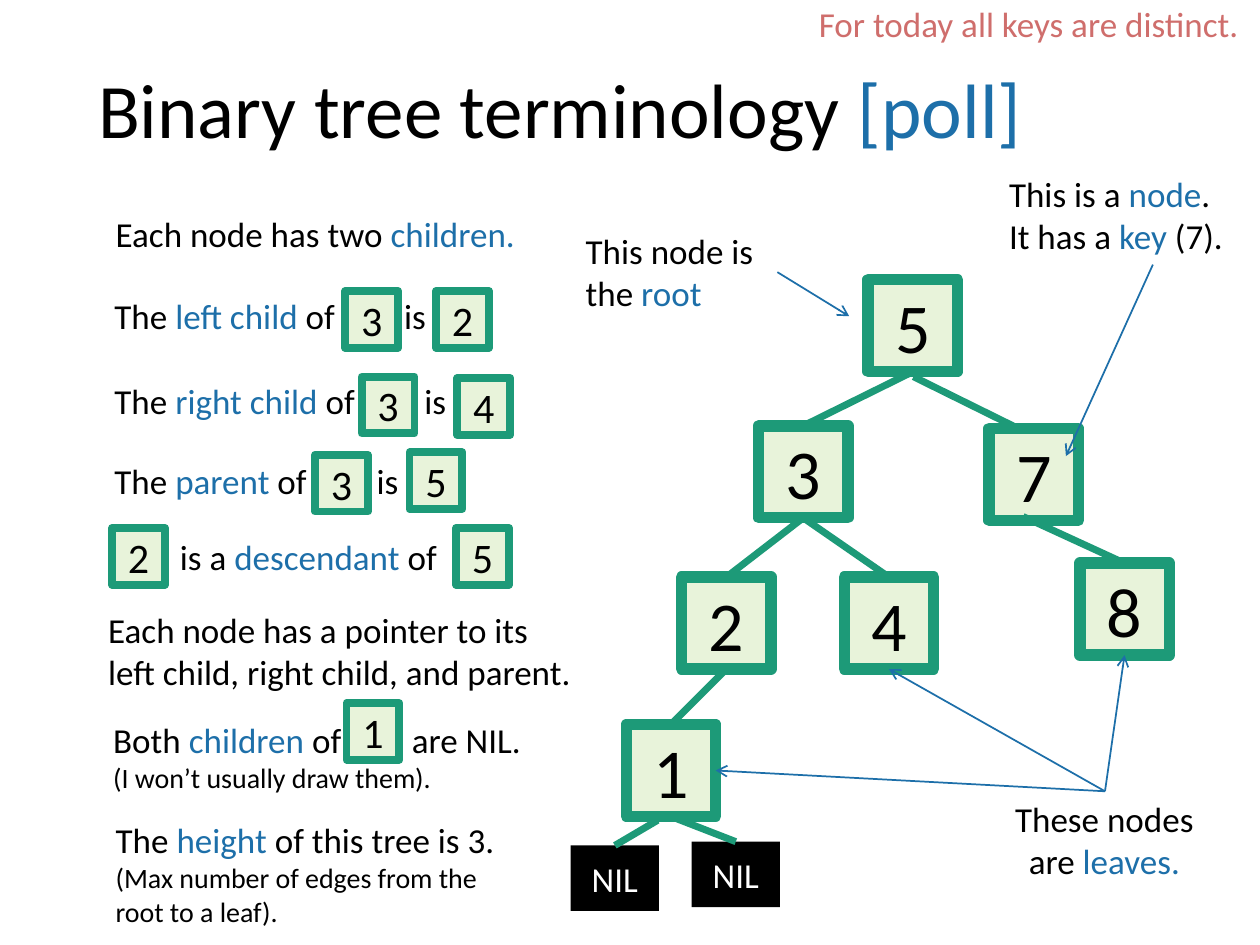
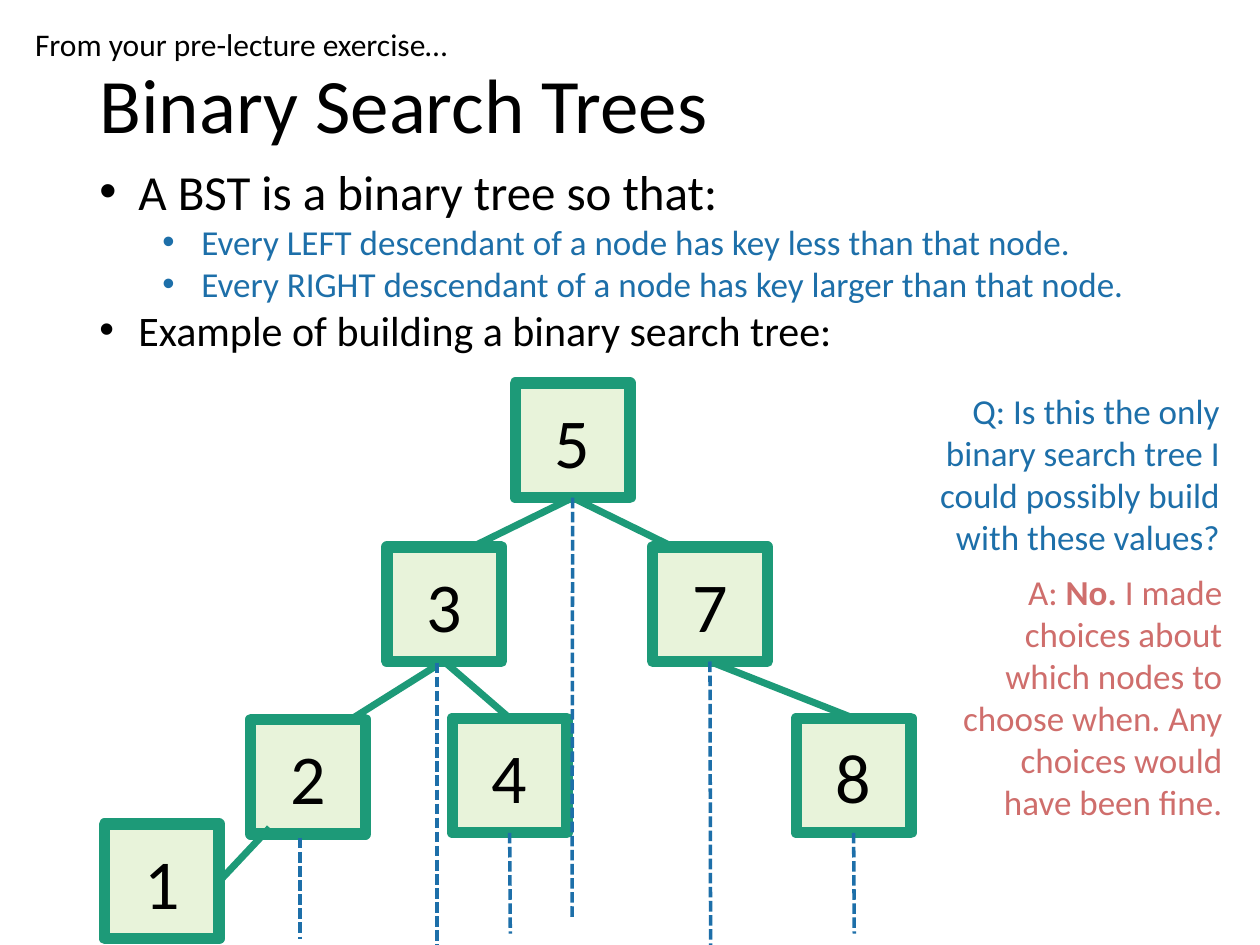
"""Build two slides on binary tree terminology and binary search trees."""
from dataclasses import dataclass

from lxml.etree import SubElement
from pptx import Presentation
from pptx.dml.color import RGBColor as RGB
from pptx.enum.dml import MSO_LINE_DASH_STYLE as Dash
from pptx.enum.shapes import MSO_CONNECTOR as Connector, MSO_SHAPE as Shape
from pptx.enum.text import MSO_ANCHOR as Anchor, PP_ALIGN as Align
from pptx.oxml.ns import qn
from pptx.util import Inches, Pt


@dataclass(frozen=True)
class Theme:
    font: str = "Calibri"
    ink: str = "000000"
    paper: str = "FFFFFF"
    blue: str = "1D6FA9"
    red: str = "CF6E6C"
    green: str = "1D9A78"
    pale: str = "E8F3DA"
    title: int = 44
    key: int = 40
    lead: int = 28
    small_key: int = 24
    body: int = 20
    aside: int = 18
    note: int = 16


T = Theme()
TOP, LEFT, BOTTOM, RIGHT = range(4)

TERMS_TITLE = ((0.68, 0.46, 8.62, 0.89), "Binary tree terminology *[poll]*")
TERMS_NODES = {"4": (6.7, 4.58), "2": (5.41, 4.58), "8": (8.57, 4.47), "7": (7.85, 3.4),
               "1": (4.97, 5.75), "3": (6.02, 3.38), "5": (6.89, 2.22)}
NIL_BOXES = {"right NIL": (5.49, 6.68), "left NIL": (4.53, 6.71)}
TERMS_EDGES = [
    ((7.25, 2.99), (8.04, 3.38)),
    ((8.12, 4.1), ("8", TOP)),
    (("3", BOTTOM), ("4", TOP)),
    (("5", BOTTOM), ("3", TOP)),
    (("3", BOTTOM), ("2", TOP)),
    (("2", BOTTOM), ("1", TOP)),
    ((5.22, 6.51), ("left NIL", TOP)),
    (("1", BOTTOM), ("right NIL", TOP)),
]
LEAF_LABEL_TOP = (8.77, 6.28)
TERMS_ARROWS = [
    ((9.15, 2.1), (8.46, 3.62)),
    ((6.17, 2.16), (6.74, 2.51)),
    (LEAF_LABEL_TOP, ("1", RIGHT)),
    (LEAF_LABEL_TOP, ("4", BOTTOM)),
    (LEAF_LABEL_TOP, ("8", BOTTOM)),
]
TERMS_TEXTS = [
    ((4.55, 1.77, 1.63, 0.77), ["This node is the *root*"]),
    ((7.91, 1.32, 2.48, 0.77), ["This is a *node*.", "It has a *key* (7)."]),
    ((0.82, 1.64, 3.7, 0.44), ["Each node has two *children.*"]),
    ((0.81, 2.29, 1.95, 0.44), ["The *left child* of"]),
    ((3.11, 2.29, 0.4, 0.44), ["is"]),
    ((0.81, 2.96, 2.15, 0.44), ["The *right child* of"]),
    ((3.27, 2.96, 0.4, 0.44), ["is"]),
    ((0.81, 3.6, 1.8, 0.44), ["The *parent* of"]),
    ((2.89, 3.6, 0.4, 0.44), ["is"]),
    ((1.33, 4.2, 2.3, 0.44), ["is a *descendant* of"]),
    ((0.76, 4.78, 3.89, 0.77), ["Each node has a pointer to its left child, right child, and parent."]),
    ((0.8, 5.65, 3.2, 0.71), ["Both *children* of", ("(I won’t usually draw them).", T.note)]),
    ((3.17, 5.65, 1.3, 0.44), ["are NIL."]),
    ((0.82, 6.45, 3.36, 0.98), ["The *height* of this tree is 3.",
                                ("(Max number of edges from the root to a leaf).", T.note)]),
]
LEAVES_TEXT = ((7.88, 6.28, 1.77, 0.77), ["These nodes are *leaves.*"])
DISTINCT_TEXT = ((6.4, -0.03, 3.75, 0.44), ["For today all keys are distinct."])
INLINE_KEYS = [("3", 2.74, 2.31), ("2", 3.46, 2.31), ("3", 2.87, 2.99), ("4", 3.63, 3.0),
               ("3", 2.5, 3.61), ("5", 3.25, 3.59), ("2", 0.89, 4.19), ("5", 3.62, 4.19),
               ("1", 2.75, 5.58)]

BST_TITLE = ((0.69, 0.4, 8.62, 0.92), "Binary Search Trees")
BST_NODES = {"4": (3.59, 5.7), "2": (1.99, 5.71), "8": (6.32, 5.7), "7": (5.18, 4.34),
             "1": (0.83, 6.54), "3": (3.07, 4.34), "5": (4.09, 3.04)}
BST_EDGES = [
    (("5", BOTTOM), (5.34, 4.34)),
    (("5", BOTTOM), (3.75, 4.34)),
    ((3.47, 5.28), (2.8, 5.7)),
    (("3", BOTTOM), ("4", TOP)),
    (("7", BOTTOM), ("8", TOP)),
    ((2.14, 6.57), ("1", RIGHT)),
]
BST_DROPS = [
    (("5", BOTTOM), (4.54, 7.28)),
    ((3.47, 5.26), (3.47, 7.5)),
    (("7", BOTTOM), (5.64, 7.5)),
    (("4", BOTTOM), (4.05, 7.41)),
    (("8", BOTTOM), (6.78, 7.41)),
    ((2.38, 6.65), (2.38, 7.45)),
]
BST_BULLETS_BOX = (0.69, 1.23, 9.31, 1.65)
BST_BULLETS = [
    ("A BST is a binary tree so that:", 0, T.lead, T.ink),
    ("Every LEFT descendant of a node has key less than that node.", 1, T.body, T.blue),
    ("Every RIGHT descendant of a node has key larger than that node.", 1, T.body, T.blue),
    ("Example of building a binary search tree:", 0, T.small_key, T.ink),
]
QUESTION = ((6.94, 3.04, 2.84, 1.45),
            ["Q: Is this the only binary search tree I could possibly build with these values?"])
ANSWER = ((7.46, 4.48, 2.34, 2.12),
          ["A: *No.* I made choices about which nodes to choose when. Any choices would have been fine."])
SOURCE_TEXT = ((0.18, 0.15, 4.67, 0.4), ["From your pre-lecture exercise…"])


def style(r, size, color, bold=False):
    r.font.name, r.font.size, r.font.bold = T.font, Pt(size), bold
    r.font.color.rgb = RGB.from_string(color)


def write(p, marked, size, color, accent=T.blue, bold=False):
    for i, part in enumerate(marked.split("*")):
        if part:
            r = p.add_run()
            r.text = part
            style(r, size, accent if i % 2 else color, bold and i % 2 == 1)


def add_text(s, box, paras, size=T.body, color=T.ink, align=Align.LEFT, accent=T.blue, bold=False):
    tf = s.shapes.add_textbox(*map(Inches, box)).text_frame
    tf.word_wrap = True
    for i, para in enumerate(paras):
        marked, para_size = para if isinstance(para, tuple) else (para, size)
        p = tf.add_paragraph() if i else tf.paragraphs[0]
        p.alignment = align
        write(p, marked, para_size, color, accent, bold)
    return tf


def add_title(s, box, marked):
    tf = add_text(s, box, [marked], T.title)
    tf.vertical_anchor = Anchor.MIDDLE
    tf.paragraphs[0].line_spacing = 0.9


def add_box(s, label, box, size, fill=T.pale, color=T.ink, border=None):
    sp = s.shapes.add_shape(Shape.RECTANGLE, *map(Inches, box))
    sp.shadow.inherit = False
    sp.fill.solid()
    sp.fill.fore_color.rgb = RGB.from_string(fill)
    if border:
        sp.line.color.rgb = RGB.from_string(T.green)
        sp.line.width = Pt(border)
    else:
        sp.line.fill.background()
    tf = sp.text_frame
    tf.text = label
    tf.vertical_anchor = Anchor.MIDDLE
    p = tf.paragraphs[0]
    p.alignment = Align.CENTER
    style(p.runs[0], size, color)
    return sp


def add_nodes(s, nodes, width, height):
    return {key: add_box(s, key, (*at, width, height), T.key, border=6.5) for key, at in nodes.items()}


def add_links(s, links, boxes, color, width, dash=None, arrow=False):
    for ends in links:
        joined = [isinstance(end[0], str) for end in ends]
        points = [0 if fixed else Inches(v) for end, fixed in zip(ends, joined) for v in end]
        c = s.shapes.add_connector(Connector.STRAIGHT, *points)
        for connect, end, fixed in zip((c.begin_connect, c.end_connect), ends, joined):
            if fixed:
                connect(boxes[end[0]], end[1])
        c.line.color.rgb = RGB.from_string(color)
        c.line.width = Pt(width)
        if dash:
            c.line.dash_style = dash
        if arrow:
            SubElement(c.line._get_or_add_ln(), qn("a:tailEnd"), type="arrow")
        SubElement(c._element.spPr, qn("a:effectLst"))


def add_bullets(s, box, items):
    tf = s.shapes.add_textbox(*map(Inches, box)).text_frame
    tf.word_wrap = True
    for i, (words, level, size, color) in enumerate(items):
        p = tf.add_paragraph() if i else tf.paragraphs[0]
        p.level = level
        pPr = p._p.get_or_add_pPr()
        pPr.set("marL", str(Inches(0.31 + 0.5 * level)))
        pPr.set("indent", str(Inches(-0.31)))
        SubElement(pPr, qn("a:buFont"), typeface="Arial")
        SubElement(pPr, qn("a:buChar"), char="•")
        write(p, words, size, color)


def build_terms(s):
    add_title(s, *TERMS_TITLE)
    boxes = add_nodes(s, TERMS_NODES, 0.71, 0.73)
    for name, at in NIL_BOXES.items():
        boxes[name] = add_box(s, "NIL", (*at, 0.7, 0.52), T.body, T.ink, T.paper)
    add_links(s, TERMS_EDGES, boxes, T.green, 4)
    add_links(s, TERMS_ARROWS, boxes, T.blue, 1, arrow=True)
    for box, paras in TERMS_TEXTS:
        add_text(s, box, paras)
    add_text(s, *LEAVES_TEXT, align=Align.CENTER)
    add_text(s, *DISTINCT_TEXT, color=T.red)
    for key, x, y in INLINE_KEYS:
        add_box(s, key, (x, y, 0.42, 0.45), T.small_key, border=4.5)


def build_bst(s):
    add_title(s, *BST_TITLE)
    boxes = add_nodes(s, BST_NODES, 0.91, 0.91)
    add_bullets(s, BST_BULLETS_BOX, BST_BULLETS)
    add_links(s, BST_EDGES, boxes, T.green, 4)
    add_links(s, BST_DROPS, boxes, T.blue, 2, dash=Dash.SQUARE_DOT)
    add_text(s, *QUESTION, color=T.blue, align=Align.RIGHT)
    add_text(s, *ANSWER, color=T.red, align=Align.RIGHT, accent=T.red, bold=True)
    add_text(s, *SOURCE_TEXT, size=T.aside)


def main():
    prs = Presentation()
    prs.slide_width, prs.slide_height = Inches(10), Inches(7.5)
    for build in (build_terms, build_bst):
        build(prs.slides.add_slide(prs.slide_layouts[6]))
    prs.save("out.pptx")


if __name__ == "__main__":
    main()
